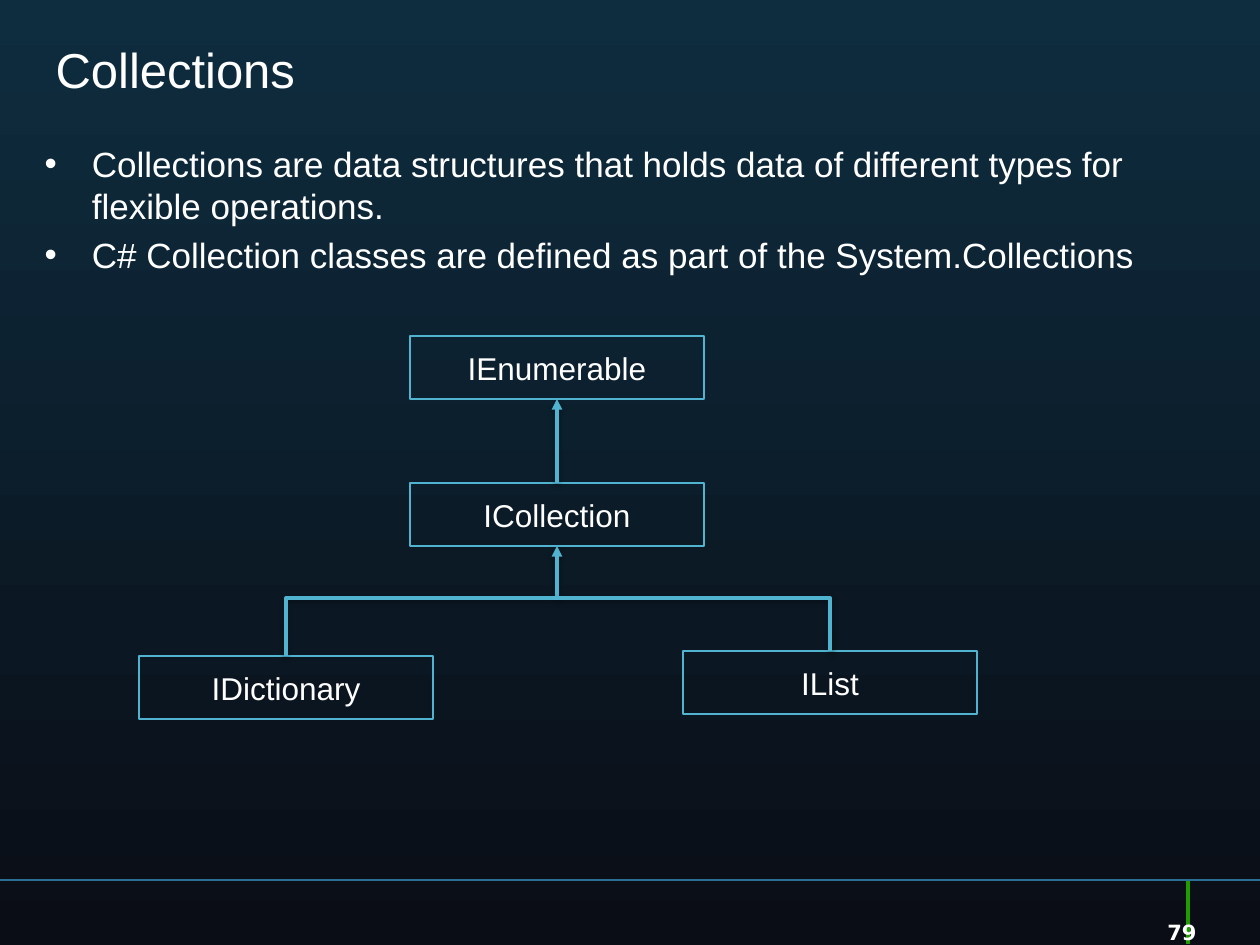
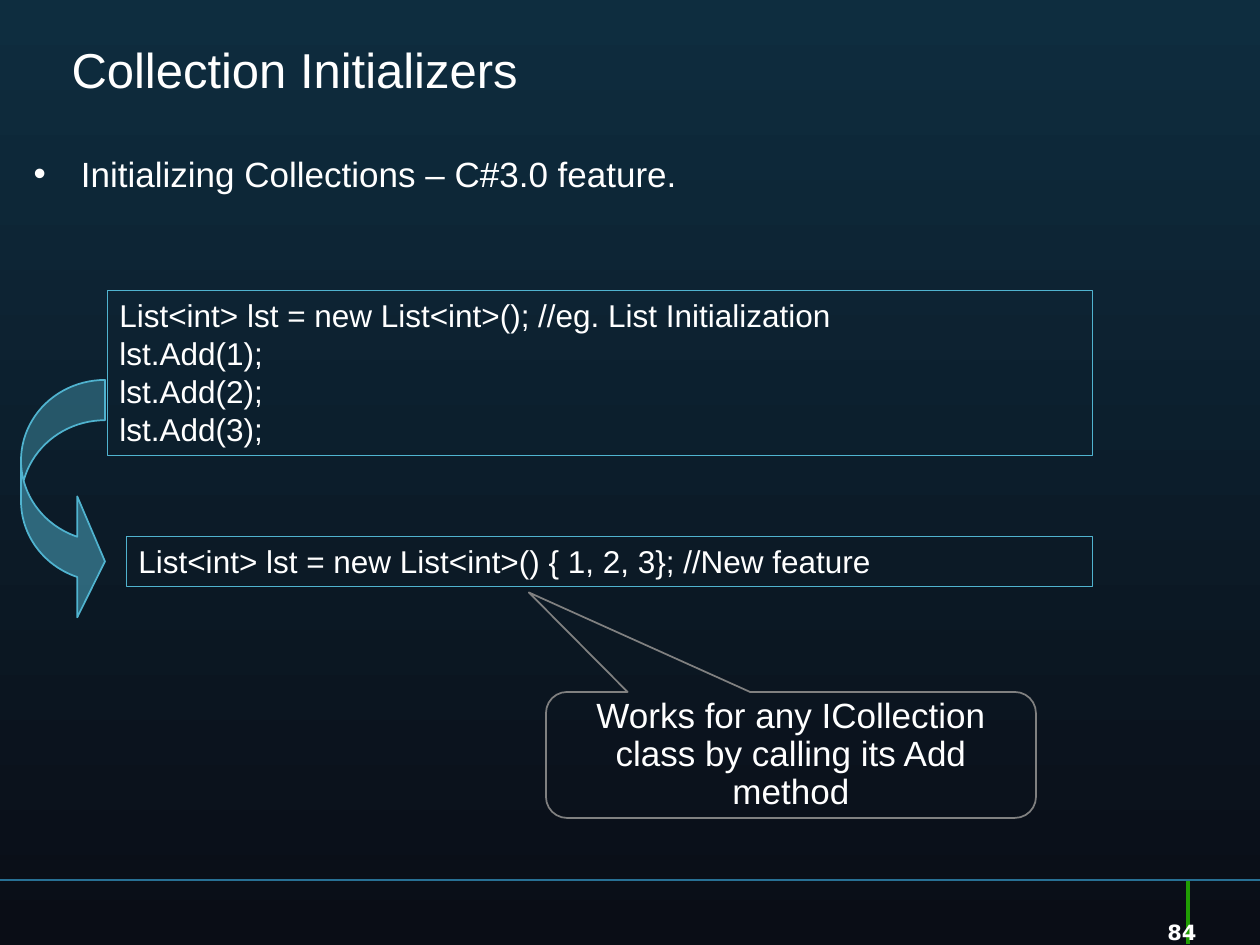
from dataclasses import dataclass
from typing import Any

from lxml.etree import SubElement as Sub
from pptx import Presentation
from pptx.dml.color import RGBColor
from pptx.enum.shapes import MSO_CONNECTOR as Conn, MSO_SHAPE as Kind
from pptx.enum.text import MSO_ANCHOR as Anchor, MSO_AUTO_SIZE as Auto, PP_ALIGN as Align
from pptx.oxml.ns import qn
from pptx.util import Pt

SCALE = 914400 / 126
WHITE = RGBColor(0xFF, 0xFF, 0xFF)
AQUA = RGBColor(0x50, 0xB3, 0xCF)
TEAL = RGBColor(0x28, 0x70, 0x94)
GREEN = RGBColor(0x20, 0x9D, 0x03)
GRAY = RGBColor(0x80, 0x80, 0x80)
NAVY = RGBColor(0x0E, 0x2D, 0x3F)
NIGHT = RGBColor(0x0A, 0x0D, 0x16)

BASE = {"name": "Arial", "bold": False}
HEAD = BASE | {"size": Pt(28)}
LIST = BASE | {"size": Pt(20)}
LABEL = BASE | {"size": Pt(18)}
PAGE = {"name": "DejaVu Sans", "bold": True, "size": Pt(12)}
MID = {"vertical_anchor": Anchor.MIDDLE, "auto_size": Auto.NONE}
TOP = {"vertical_anchor": Anchor.TOP, "auto_size": Auto.NONE}
GROW = {"vertical_anchor": Anchor.TOP, "auto_size": Auto.SHAPE_TO_FIT_TEXT}


@dataclass(frozen=True)
class Area:
    x: int
    y: int
    w: int
    h: int

    @property
    def mid(self) -> int:
        return self.x + self.w // 2

    @property
    def end(self) -> int:
        return self.y + self.h


@dataclass(frozen=True)
class Box:
    area: Area
    text: str
    frame: dict
    align: Align = Align.CENTER
    font: Any = None
    kind: Kind = Kind.RECTANGLE
    color: RGBColor = AQUA
    width: float = 0.75
    adj: tuple = ()
    space: float = 1.0


def px(*vals: float) -> list[int]:
    return [round(val * SCALE) for val in vals]


def apply(item: Any, vals: dict) -> None:
    for key, val in vals.items():
        setattr(item, key, val)


def place(shape: Any, area: Area) -> None:
    names = ("left", "top", "width", "height")
    apply(shape, dict(zip(names, px(area.x, area.y, area.w, area.h))))


def write(shape: Any, lines: list[str], font: dict, frame: dict,
          align: Align = Align.LEFT, space: float = 1.0) -> None:
    body = shape.text_frame
    apply(body, {"word_wrap": True} | frame)
    for num, line in enumerate(lines):
        para = body.add_paragraph() if num else body.paragraphs[0]
        apply(para, {"text": line, "alignment": align, "line_spacing": space})
        for run in para.runs:
            apply(run.font, font)
            run.font.color.rgb = WHITE


def draw(slide: Any, box: Box) -> Any:
    area = box.area
    shape = slide.shapes.add_shape(box.kind, *px(area.x, area.y, area.w, area.h))
    shape.shadow.inherit = False
    shape.fill.background()
    shape.line.color.rgb = box.color
    shape.line.width = Pt(box.width)
    for num, val in enumerate(box.adj):
        shape.adjustments[num] = val
    if box.text:
        write(shape, [box.text], box.font or LABEL, box.frame, box.align, box.space)
    return shape


def link(slide: Any, ends: tuple, color: RGBColor, width: float,
         kind: Conn = Conn.STRAIGHT, arrow: bool = False, shade: bool = False) -> Any:
    line = slide.shapes.add_connector(kind, *px(*ends))
    line.line.color.rgb = color
    line.line.width = Pt(width)
    props = line.element.spPr
    if arrow:
        Sub(props.find(qn("a:ln")), qn("a:tailEnd"), type="triangle")
    glow = Sub(props, qn("a:effectLst"))
    if shade:
        cast = Sub(glow, qn("a:outerShdw"), blurRad=str(Pt(3.1)), dist=str(Pt(1.6)),
                   dir="5400000", rotWithShape="0")
        tint = Sub(cast, qn("a:srgbClr"), val="000000")
        Sub(tint, qn("a:alpha"), val="38000")
    return line


def fork(slide: Any, left: Area, right: Area, bar: int) -> None:
    w, h = left.y - right.y, right.mid - left.mid
    x = (left.mid + right.mid - w) / 2
    y = (left.y + right.y - h) / 2
    line = link(slide, (x + w, y + h, x, y), AQUA, 2, Conn.ELBOW, shade=True)
    props = line.element.spPr
    props.find(qn("a:xfrm")).set("rot", "5400000")
    geom = props.find(qn("a:prstGeom"))
    rate = round((left.y - bar) / w * 100000)
    Sub(geom.find(qn("a:avLst")), qn("a:gd"), name="adj1", fmla=f"val {rate}")


def start(deck: Any, title: str, left: int, items: list[str], area: Area, page: str) -> Any:
    slide = deck.slides.add_slide(deck.slide_layouts[1])
    head, body = slide.shapes.title, slide.placeholders[1]
    place(head, Area(left, 32, 945, 73))
    write(head, [title], HEAD, MID)
    place(body, area)
    write(body, items, LIST, TOP)
    note = slide.shapes.add_textbox(*px(1155, 913, 102, 32))
    write(note, [page], PAGE, TOP)
    return slide


def dress(deck: Any, slide: Any) -> None:
    master = deck.slide_master
    fill = master.background.fill
    fill.gradient()
    fill.gradient_angle = 270
    for stop, color in zip(fill.gradient_stops, (NAVY, NIGHT)):
        stop.color.rgb = color
    for ends, color, width in (((1260, 880, 0, 880), TEAL, 0.75),
                               ((1188, 881, 1188, 944), GREEN, 2)):
        master.shapes.element.append(link(slide, ends, color, width).element)


def types(deck: Any) -> Any:
    slide = start(deck, "Collections", 43, [
        "Collections are data structures that holds data of different types for "
        "flexible operations.",
        "C# Collection classes are defined as part of the System.Collections",
    ], Area(32, 136, 1155, 714), "79")
    spots = {"IEnumerable": (410, 336), "ICollection": (410, 483),
             "IDictionary": (139, 656), "IList": (683, 651)}
    areas = [Area(x, y, 294, 63) for x, y in spots.values()]
    for name, area in zip(spots, areas):
        draw(slide, Box(area, name, MID))
    root, core, left, right = areas
    bar = 598
    for low, goal in ((core.y, root), (bar, core)):
        link(slide, (goal.mid, low, goal.mid, goal.end), AQUA, 2, arrow=True, shade=True)
    fork(slide, left, right, bar)
    return slide


def setup(deck: Any) -> None:
    slide = start(deck, "Collection Initializers", 59,
                  ["Initializing Collections \u2013 C#3.0 feature."],
                  Area(21, 146, 1134, 655), "84")
    code = "List<int> lst = new List<int>()"
    adds = [f"lst.Add({num});" for num in (1, 2, 3)]
    old = "\n".join([f"{code}; //eg. List Initialization", *adds])
    draw(slide, Box(Area(107, 290, 985, 165), old, GROW, Align.LEFT, width=0.25))
    arrow = draw(slide, Box(Area(21, 380, 84, 242), "", MID, kind=Kind.CURVED_RIGHT_ARROW,
                            width=1, adj=(0.48, 1.61, 0.33)))
    arrow.fill.solid()
    arrow.fill.fore_color.rgb = AQUA
    tint = arrow.element.spPr.find(qn("a:solidFill")).find(qn("a:srgbClr"))
    Sub(tint, qn("a:alpha"), val="50000")
    new = f"{code} {{ 1, 2, 3}}; //New feature"
    draw(slide, Box(Area(126, 536, 966, 50), new, GROW, Align.LEFT, width=0.25))
    draw(slide, Box(Area(546, 692, 490, 126),
                    "Works for any ICollection class by calling its Add method",
                    MID, font=LIST, kind=Kind.ROUNDED_RECTANGULAR_CALLOUT, color=GRAY,
                    width=1, adj=(-0.535, -1.29, 0.167), space=0.9))


def main() -> None:
    deck = Presentation()
    deck.slide_width, deck.slide_height = px(1260, 945)
    dress(deck, types(deck))
    setup(deck)
    deck.save("out.pptx")


main()
